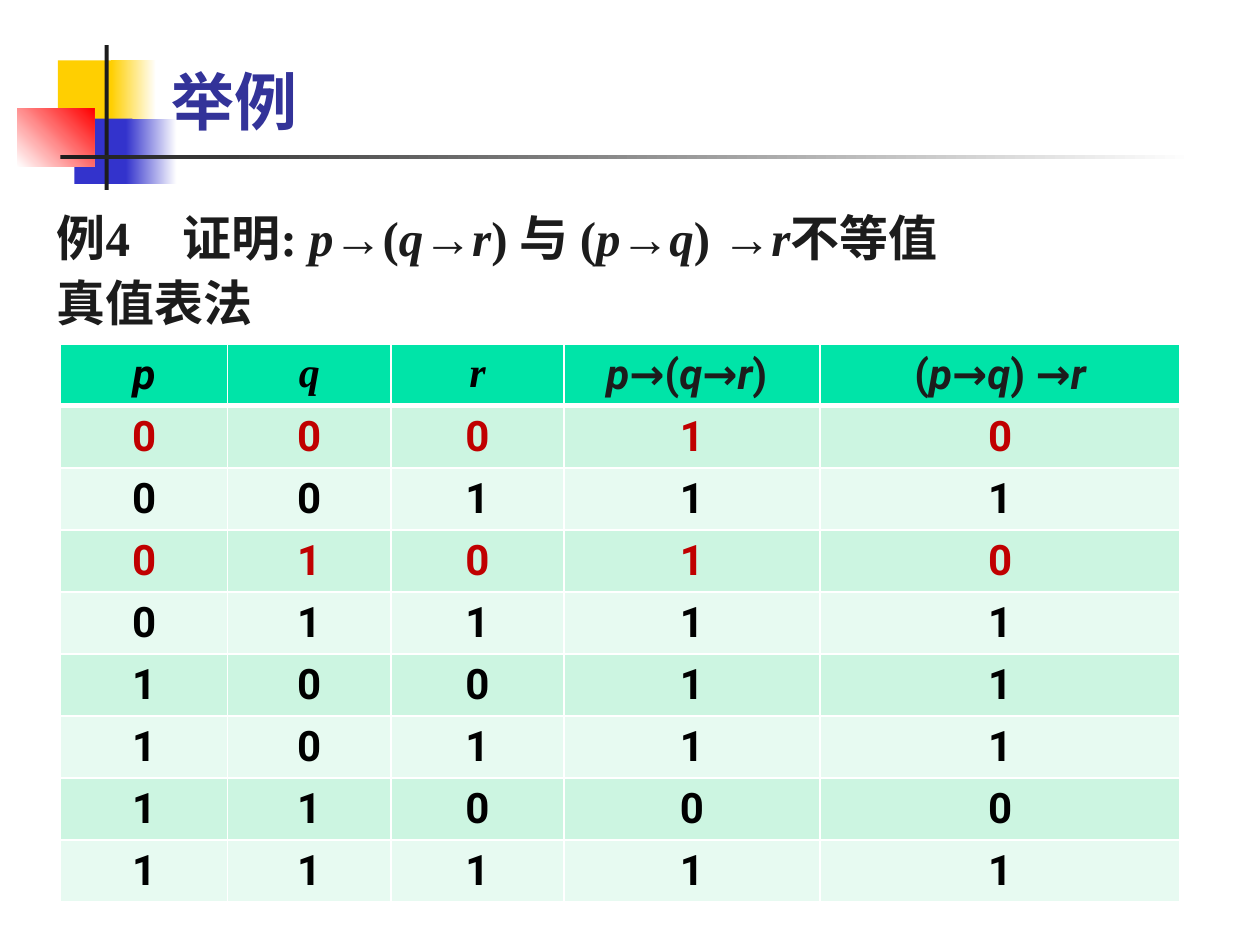
from dataclasses import dataclass
from itertools import groupby, product

from lxml.etree import SubElement
from pptx import Presentation
from pptx.dml.color import RGBColor
from pptx.enum.shapes import MSO_SHAPE
from pptx.enum.text import MSO_ANCHOR, MSO_AUTO_SIZE, PP_ALIGN
from pptx.oxml import parse_xml
from pptx.oxml.ns import nsdecls, qn
from pptx.util import Cm, Pt

WHITE = RGBColor(0xFF, 0xFF, 0xFF)
BLACK = RGBColor(0x00, 0x00, 0x00)
INK = RGBColor(0x1C, 0x1C, 0x1C)
YELLOW = RGBColor(0xFF, 0xCF, 0x01)
BLUE = RGBColor(0x33, 0x33, 0xCC)
RED = RGBColor(0xFF, 0x00, 0x00)
NAVY = RGBColor(0x33, 0x33, 0x99)
CRIMSON = RGBColor(0xC0, 0x00, 0x00)
HEADER_GREEN = RGBColor(0x00, 0xE4, 0xA8)
BAND_GREENS = RGBColor(0xCC, 0xF5, 0xE1), RGBColor(0xE7, 0xFA, 0xF1)
SANS, SERIF = "Roboto", "Times New Roman"
VARIABLES = "pqr"


@dataclass
class Block:
    """A decorative rectangle in centimetres; an end colour makes it a gradient."""
    left: float
    top: float
    width: float
    height: float
    color: RGBColor
    end: RGBColor | None = None
    angle: float = 0


@dataclass
class Heading:
    text: str
    width: float
    font: str
    color: RGBColor


BLOCKS = [
    Block(1.17, 1.22, 1.22, 1.32, YELLOW),
    Block(2.24, 1.22, 0.91, 1.32, YELLOW, WHITE),
    Block(1.5, 2.39, 1.17, 1.32, BLUE),
    Block(2.54, 2.39, 1.02, 1.32, BLUE, WHITE),
    Block(0.35, 2.18, 1.55, 1.18, WHITE, RED, 45),
    Block(2.11, 0.91, 0.08, 2.92, INK),
    Block(1.22, 3.12, 22.86, 0.08, INK, WHITE),
]
HEADINGS = [
    Heading("p", 3.37, SANS, BLACK),
    Heading("q", 3.29, SERIF, BLACK),
    Heading("r", 3.49, SERIF, BLACK),
    Heading("p→(q→r) ", 5.16, SANS, INK),
    Heading("(p→q) →r", 7.26, SANS, INK),
]
STATEMENT = ["例4\t证明: p→(q→r) 与 (p→q) →r不等值", "真值表法"]


def implies(first: int, second: int) -> int:
    return int(not first or second)


def draw_block(page, block: Block) -> None:
    box = page.shapes.add_shape(MSO_SHAPE.RECTANGLE, Cm(block.left), Cm(block.top),
                                Cm(block.width), Cm(block.height))
    box.shadow.inherit = False
    box.line.fill.background()
    if block.end is None:
        box.fill.solid()
        box.fill.fore_color.rgb = block.color
        return
    box.fill.gradient()
    box.fill.gradient_angle = block.angle
    for stop, color in zip(box.fill.gradient_stops, (block.color, block.end)):
        stop.color.rgb = color


def place(shape, left: float, top: float, width: float, height: float) -> None:
    """Move a placeholder and bring it in front of the decoration."""
    places = dict(left=left, top=top, width=width, height=height)
    for name, value in places.items():
        setattr(shape, name, Cm(value))
    shape.element.getparent().append(shape.element)
    shape.text_frame.auto_size = MSO_AUTO_SIZE.NONE


def write(para, text: str, color: RGBColor, **font_format) -> None:
    """Add bold text, with the variables in italics."""
    for italic, letters in groupby(text, lambda letter: letter in VARIABLES):
        span = para.add_run()
        span.text = "".join(letters)
        for name, value in dict(font_format, bold=True, italic=italic).items():
            setattr(span.font, name, value)
        span.font.color.rgb = color


def fill_cell(cell, text: str, fill: RGBColor, color: RGBColor, font: str,
              bottom: int = 1) -> None:
    properties = cell._tc.get_or_add_tcPr()
    for side, width in dict(L=1, R=1, T=1, B=bottom).items():
        properties.append(parse_xml(
            f'<a:ln{side} {nsdecls("a")} w="{Pt(width)}"><a:solidFill>'
            f'<a:srgbClr val="{WHITE}"/></a:solidFill></a:ln{side}>'))
    cell.fill.solid()
    cell.fill.fore_color.rgb = fill
    para = cell.text_frame.paragraphs[0]
    para.alignment = PP_ALIGN.CENTER
    write(para, text, color, size=Pt(24), name=font)


def draw_title(page) -> None:
    title = page.shapes.title
    place(title, 3.2, 0.2, 21.64, 2.72)
    title.text_frame.vertical_anchor = MSO_ANCHOR.BOTTOM
    para = title.text_frame.paragraphs[0]
    para.alignment = PP_ALIGN.LEFT
    write(para, "举例", NAVY, size=Pt(36), name=SANS)


def draw_statement(page) -> None:
    body = page.placeholders[1]
    place(body, 0.89, 3.94, 23.6, 3.81)
    frame = body.text_frame
    for index, text in enumerate(STATEMENT):
        para = frame.add_paragraph() if index else frame.paragraphs[0]
        properties = para._p.get_or_add_pPr()
        properties.set("marL", "0")
        properties.set("indent", "0")
        SubElement(properties, qn("a:buNone"))
        tabs = SubElement(properties, qn("a:tabLst"))
        SubElement(tabs, qn("a:tab"), pos=str(Cm(2.48)), algn="l")
        para.line_spacing = 1.1
        para.space_before = Pt(0)
        write(para, text, INK, size=Pt(28), name=SERIF)


def draw_truth_table(page) -> None:
    rows = list(product((0, 1), repeat=3))
    row_height = Cm(1.25)
    table = page.shapes.add_table(
        len(rows) + 1, len(HEADINGS), Cm(1.22), Cm(6.93),
        Cm(sum(heading.width for heading in HEADINGS)),
        row_height * (len(rows) + 1)).table
    for column, heading in enumerate(HEADINGS):
        table.columns[column].width = Cm(heading.width)
        fill_cell(table.cell(0, column), heading.text, HEADER_GREEN,
                  heading.color, heading.font, bottom=3)
    for index, (p, q, r) in enumerate(rows):
        nested = implies(p, implies(q, r))
        chained = implies(implies(p, q), r)
        color = BLACK if nested == chained else CRIMSON
        for column, value in enumerate((p, q, r, nested, chained)):
            fill_cell(table.cell(index + 1, column), str(value),
                      BAND_GREENS[index % 2], color, SANS)


def main() -> None:
    deck = Presentation()
    deck.slide_width, deck.slide_height = Cm(25.4), Cm(19.05)
    page = deck.slides.add_slide(deck.slide_layouts[1])
    for block in BLOCKS:
        draw_block(page, block)
    draw_title(page)
    draw_statement(page)
    draw_truth_table(page)
    deck.save("out.pptx")


if __name__ == "__main__":
    main()
